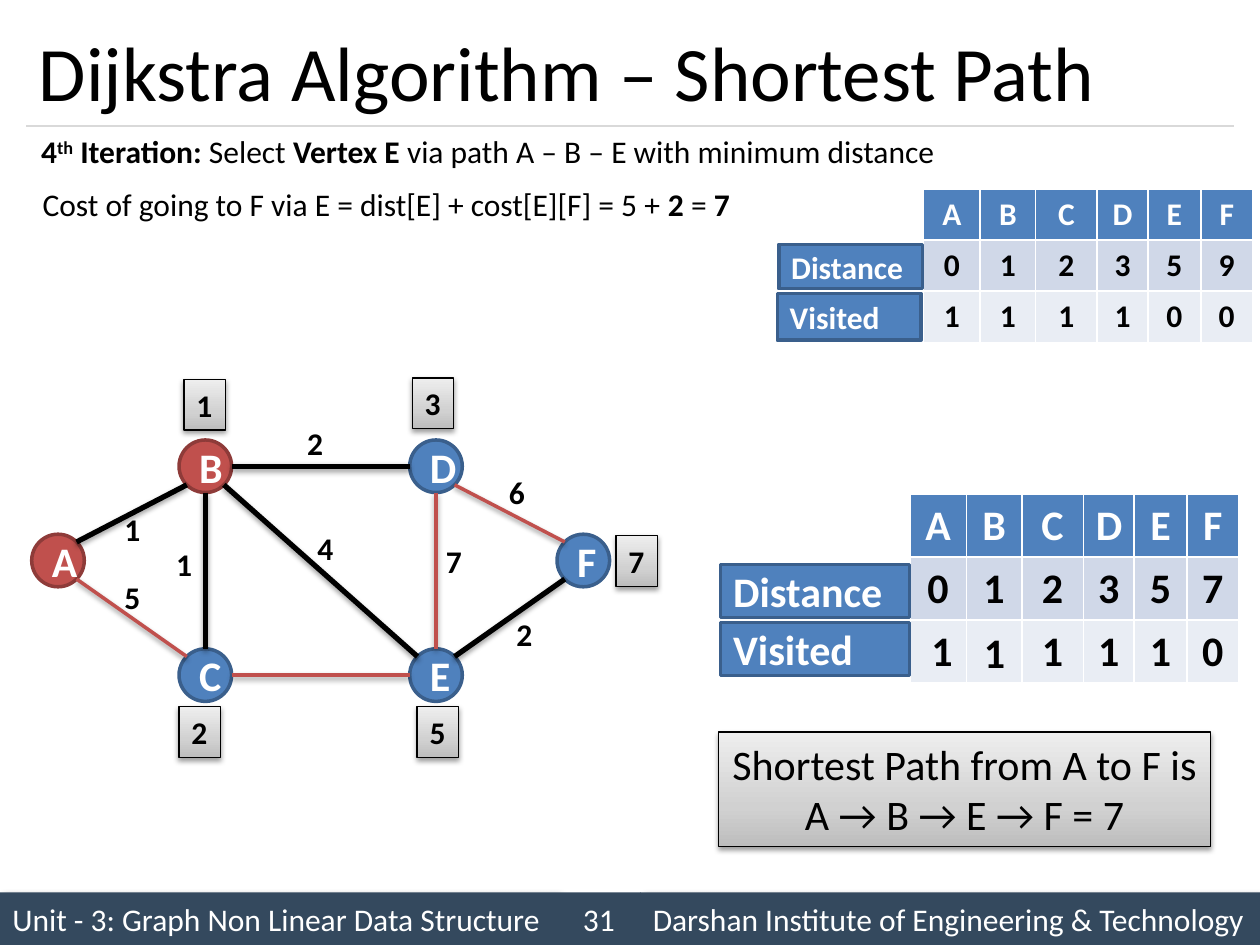
"""Build the slide on the fourth iteration of Dijkstra's shortest path algorithm."""
from copy import deepcopy
from math import cos, radians, sin

from lxml.etree import SubElement
from pptx import Presentation
from pptx.dml.color import RGBColor
from pptx.enum.shapes import MSO_CONNECTOR as Link, MSO_SHAPE as Kind
from pptx.enum.text import MSO_ANCHOR as Anchor, MSO_AUTO_SIZE as Fit, PP_ALIGN as Align
from pptx.oxml.ns import qn
from pptx.util import Cm, Pt

COLOURS = {name: RGBColor.from_string(code) for name, code in {
    "black": "000000", "white": "FFFFFF", "rule": "D9D9D9", "footer": "34495E",
    "blue": "4F81BD", "blue edge": "3A5F8C", "red": "C0504D", "red edge": "8E3B39",
    "band 1": "D0D8E8", "band 2": "E9EDF4",
    "grey low": "BDBDBD", "grey mid": "D1D1D1", "grey high": "EEEEEE",
}.items()}
FONT = "Calibri"


def add_shadow(shape, alpha=38, blur=3.1, distance=1.6, angle=90):
    effects = SubElement(shape._element.spPr, qn("a:effectLst"))
    outer = SubElement(effects, qn("a:outerShdw"), blurRad=str(Pt(blur)),
                       dist=str(Pt(distance)), dir=str(angle * 60000), rotWithShape="0")
    tone = SubElement(outer, qn("a:srgbClr"), val="000000")
    SubElement(tone, qn("a:alpha"), val=str(alpha * 1000))


def add_box(at, text, size=18, fill=None, edge=None, ink="black", bold=True,
            align=Align.LEFT, kind=Kind.RECTANGLE):
    place = [Cm(length) for length in at]
    if fill:
        box = page.shapes.add_shape(kind, *place)
        if fill == "grey":
            box.fill.gradient()
            box.fill.gradient_angle = 90
            first = box._element.spPr.find(".//" + qn("a:gs"))
            first.addnext(deepcopy(first))
            shades = zip(box.fill.gradient_stops, (0, 0.35, 1), ("low", "mid", "high"))
            for stop, position, shade in shades:
                stop.position = position
                stop.color.rgb = COLOURS["grey " + shade]
        else:
            box.fill.solid()
            box.fill.fore_color.rgb = COLOURS[fill]
        if edge:
            box.line.color.rgb = COLOURS[edge]
            box.line.width = Pt(0.75 if fill == "grey" else 2)
        else:
            box.line.fill.background()
        if fill == "grey":
            add_shadow(box)
        elif fill != "footer":
            box.shadow.inherit = False
    else:
        box = page.shapes.add_textbox(*place)
    frame = box.text_frame
    solid = fill not in (None, "grey")
    frame.word_wrap = solid
    frame.auto_size = Fit.NONE if solid else Fit.SHAPE_TO_FIT_TEXT
    frame.vertical_anchor = Anchor.MIDDLE if solid else Anchor.TOP
    frame.text = text
    for para in frame.paragraphs:
        para.alignment = align
        para.font.name, para.font.size, para.font.bold = FONT, Pt(size), bold
        para.font.color.rgb = COLOURS[ink]
    return box


deck = Presentation()
deck.slide_width, deck.slide_height = Cm(25.4), Cm(19.05)
page = deck.slides.add_slide(deck.slide_layouts[5])

title = page.shapes.title
title.left, title.top, title.width, title.height = Cm(0.53), Cm(0.3), Cm(24.33), Cm(2.24)
title.text_frame.text = "Dijkstra Algorithm – Shortest Path"
title.text_frame.vertical_anchor = Anchor.MIDDLE
title.text_frame.auto_size = Fit.NONE
heading = title.text_frame.paragraphs[0]
heading.alignment = Align.LEFT
heading.font.name, heading.font.size = FONT, Pt(44)
heading.font.color.rgb = COLOURS["black"]

for left, width, text, align in (
    (0, 11.23, "Unit - 3: Graph Non Linear Data Structure", Align.LEFT),
    (12.91, 12.49, "Darshan Institute of Engineering & Technology", Align.LEFT),
    (11.23, 1.69, "31", Align.CENTER),
):
    footer = add_box((left, 17.99, width, 1.06), text, fill="footer", ink="white",
                     bold=False, align=align)
    if align == Align.LEFT:
        add_shadow(footer, 40, 4, 3, 45)
    else:
        footer.shadow.inherit = False

rule = page.shapes.add_connector(Link.STRAIGHT, Cm(0.53), Cm(2.54), Cm(24.87), Cm(2.54))
rule.line.color.rgb = COLOURS["rule"]
rule.line.width = Pt(0.75)
SubElement(rule._element.spPr, qn("a:effectLst"))

for at, spans in (
    ((0.58, 2.54, 18.62, 1.02),
     (("4", True), ("th", True), (" Iteration: ", True), ("Select ", False),
      ("Vertex E", True), (" via path A – B – E with minimum distance", False))),
    ((0.61, 3.61, 14.53, 1.02),
     (("Cost of going to F via E = dist[E] + cost[E][F] = 5 + ", False),
      ("2", True), (" = ", False), ("7", True))),
):
    para = add_box(at, "", bold=False).text_frame.paragraphs[0]
    for text, bold in spans:
        span = para.add_run()
        span.text, span.font.bold = text, bold
        if text == "th":
            span.font._element.set("baseline", "30000")

COLUMNS = (1.14, 1.12, 1.24, 1.02, 1.07, 1.04)
for left, top, row_height, size, rows in (
    (18.62, 3.81, 1.03, 18, ("ABCDEF", "012359", "111100")),
    (18.34, 9.96, 1.27, 24, ("ABCDEF", "012357", "   110")),
):
    grid = page.shapes.add_table(3, 6, Cm(left), Cm(top), Cm(sum(COLUMNS)),
                                 Cm(3 * row_height)).table
    for column, width in zip(grid.columns, COLUMNS):
        column.width = Cm(width)
    for row, (values, fill) in enumerate(zip(rows, ("blue", "band 1", "band 2"))):
        for column, value in enumerate(values):
            cell = grid.cell(row, column)
            cell.fill.solid()
            cell.fill.fore_color.rgb = COLOURS[fill]
            cell.text = value.strip()
            para = cell.text_frame.paragraphs[0]
            para.alignment = Align.CENTER
            para.font.name, para.font.size, para.font.bold = FONT, Pt(size), True
            para.font.color.rgb = COLOURS["black" if row else "white"]

for text, size, at in (
    ("Distance", 18, (15.7, 4.93, 2.9, 0.89)),
    ("Visited", 18, (15.67, 5.92, 2.9, 0.94)),
    ("Distance", 24, (14.53, 11.38, 3.81, 1.07)),
    ("Visited", 24, (14.53, 12.55, 3.81, 1.07)),
):
    add_box(at, text, size, "blue", "blue edge", "white")

for left, top in ((18.52, 12.47), (19.58, 12.5), (20.75, 12.47)):
    add_box((left, top, 0.94, 1.27), "1", 24, align=Align.CENTER)

RADIUS = 0.53
NODES = {"A": (1.17, 11.3), "B": (4.14, 9.4), "C": (4.14, 13.61),
         "D": (8.79, 9.4), "E": (8.79, 13.61), "F": (11.76, 11.3)}
for name, (x, y) in NODES.items():
    fill = "red" if name in "AB" else "blue"
    add_box((x - RADIUS, y - RADIUS, 2 * RADIUS, 2 * RADIUS), name, 24, fill,
            fill + " edge", "white", align=Align.CENTER, kind=Kind.OVAL)

for start, end, angle, colour in (
    ("A", "B", -45, "black"), ("A", "C", 45, "red"), ("B", "C", 90, "black"),
    ("B", "D", 0, "black"), ("B", "E", 45, "black"), ("C", "E", 0, "red"),
    ("D", "E", 90, "red"), ("D", "F", 45, "red"), ("E", "F", -45, "black"),
):
    dx, dy = RADIUS * cos(radians(angle)), RADIUS * sin(radians(angle))
    (x1, y1), (x2, y2) = NODES[start], NODES[end]
    edge = page.shapes.add_connector(Link.STRAIGHT, Cm(x1 + dx), Cm(y1 + dy),
                                     Cm(x2 - dx), Cm(y2 - dy))
    edge.line.color.rgb = COLOURS[colour]
    edge.line.width = Pt(3 if colour == "black" else 2)
    add_shadow(edge)

for weight, left, top in (
    ("1", 2.26, 10.16), ("1", 3.3, 10.87), ("5", 2.26, 11.53), ("2", 5.94, 8.43),
    ("4", 6.15, 10.54), ("7", 8.74, 10.8), ("6", 10.01, 9.42), ("2", 10.16, 12.27),
):
    add_box((left, top, 0.84, 1.02), weight)

for distance, left, top in (("1", 3.71, 7.65), ("3", 8.31, 7.62), ("2", 3.61, 14.25),
                            ("5", 8.41, 14.25), ("7", 12.42, 10.8)):
    add_box((left, top, 0.84, 1.02), distance, fill="grey", edge="black")

add_box((14.48, 14.76, 9.93, 2.31), "Shortest Path from A to F is\nA → B → E → F = 7", 24,
        "grey", "black", bold=False, align=Align.CENTER)

deck.save("out.pptx")
